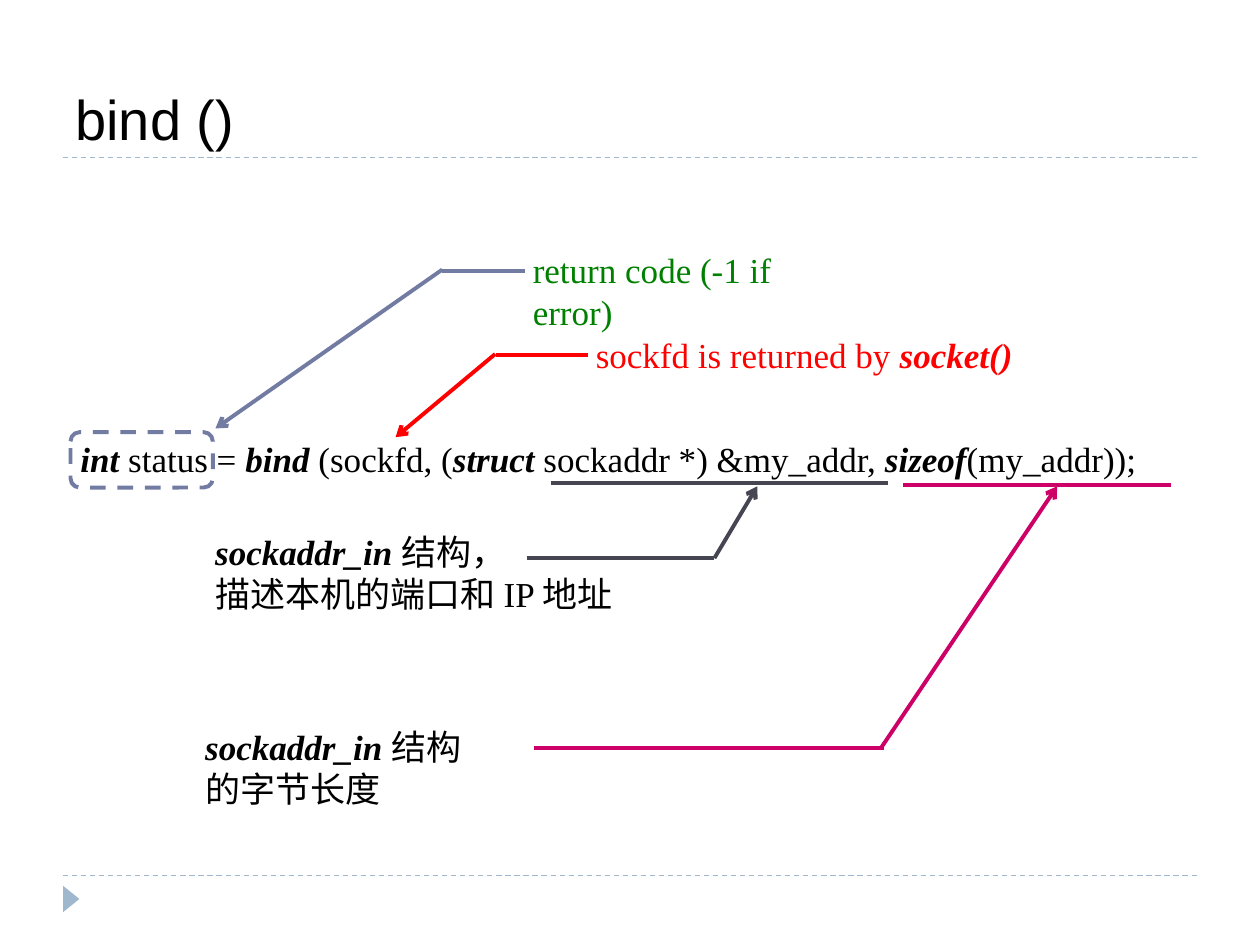
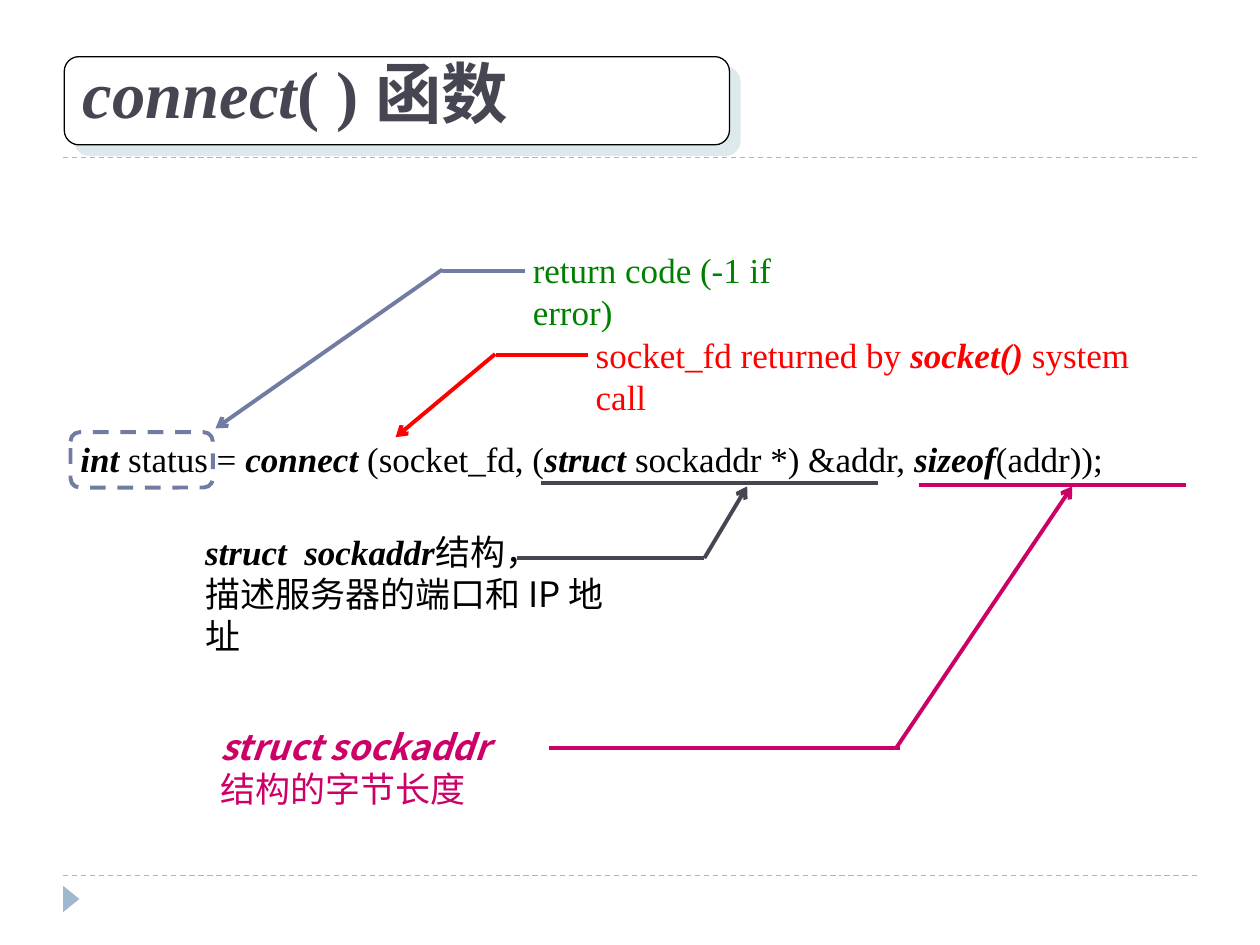
from dataclasses import dataclass, replace

from lxml import etree
from pptx import Presentation
from pptx.dml.color import RGBColor
from pptx.enum.dml import MSO_LINE_DASH_STYLE as Dash
from pptx.enum.shapes import MSO_CONNECTOR as Conn, MSO_SHAPE as Shape
from pptx.enum.text import MSO_ANCHOR as Anchor, MSO_AUTO_SIZE as AutoSize, PP_ALIGN as Align
from pptx.oxml.ns import qn
from pptx.util import Emu, Inches, Pt

COLORS = {
    "paper": "FFFFFF", "ink": "000000", "rule": "9FB8CD", "slate": "464653",
    "pink": "CC0066", "blue": "727CA3", "green": "008000", "red": "FF0000",
    "shadow": "DDE9EC",
}
SERIF, SANS, CJK = "Times New Roman", "Arial", "Noto Sans CJK SC"
COLUMNS, ROWS = 100, 75
LINE_HEIGHT = 1.2
STROKE = 2.25

prs = Presentation()
prs.slide_width, prs.slide_height = Inches(10), Inches(7.5)


@dataclass(frozen=True)
class Box:
    """Left, top, width and height in grid columns and rows."""
    left: float
    top: float
    width: float
    height: float

    def emu(self) -> tuple:
        return col(self.left), row(self.top), col(self.width), row(self.height)


@dataclass(frozen=True)
class Run:
    text: str
    bold: bool = False
    italic: bool = False
    font: str = SERIF


@dataclass(frozen=True)
class Label:
    box: Box
    paragraphs: list
    color: str = "ink"
    size: float = 20
    wrap: bool = True
    grow: bool = True
    anchor: Anchor = Anchor.TOP


@dataclass(frozen=True)
class Segment:
    x1: float
    y1: float
    x2: float
    y2: float
    arrow: bool = False


@dataclass(frozen=True)
class Callout:
    """A label with its leader lines, moved sideways as one."""
    label: Label
    line_color: str
    segments: list
    shift: float = 0


@dataclass(frozen=True)
class CallSlide:
    signature: list
    signature_width: float
    descriptor: list
    descriptor_width: float
    address: list
    address_shift: float
    length: list
    length_shift: float
    length_color: str


def col(n: float) -> Emu:
    return Emu(round(prs.slide_width * n / COLUMNS))


def row(n: float) -> Emu:
    return Emu(round(prs.slide_height * n / ROWS))


def rgb(name: str) -> RGBColor:
    return RGBColor.from_string(COLORS[name])


def key(text: str, font: str = SERIF) -> Run:
    return Run(text, True, True, font)


def set_line(line, color: str, width: float, dash=None) -> None:
    line.color.rgb = rgb(color)
    for name, value in {"width": Pt(width), "dash_style": dash}.items():
        setattr(line, name, value)


def add_segment(s, seg: Segment, color: str, width: float = STROKE,
                dash=None, shift: float = 0) -> None:
    line = s.shapes.add_connector(Conn.STRAIGHT, col(seg.x1 + shift), row(seg.y1),
                                  col(seg.x2 + shift), row(seg.y2))
    set_line(line.line, color, width, dash)
    if seg.arrow:
        etree.SubElement(line.line._get_or_add_ln(), qn("a:tailEnd"), type="arrow")
    etree.SubElement(line._element.spPr, qn("a:effectLst"))


def add_shape(s, kind, box: Box, fill=None):
    sp = s.shapes.add_shape(kind, *box.emu())
    sp.shadow.inherit = False
    if fill:
        sp.fill.solid()
        sp.fill.fore_color.rgb = rgb(fill)
    else:
        sp.fill.background()
    return sp


def add_label(s, label: Label, shift: float = 0) -> None:
    box = replace(label.box, left=label.box.left + shift)
    tf = s.shapes.add_textbox(*box.emu()).text_frame
    frame = {
        "word_wrap": label.wrap, "vertical_anchor": label.anchor,
        "auto_size": AutoSize.SHAPE_TO_FIT_TEXT if label.grow else AutoSize.NONE,
    }
    for name, value in frame.items():
        setattr(tf, name, value)
    for i, runs in enumerate(label.paragraphs):
        p = tf.add_paragraph() if i else tf.paragraphs[0]
        p.alignment = Align.LEFT
        p.line_spacing = Pt(label.size * LINE_HEIGHT)
        for item in runs:
            r = p.add_run()
            r.text = item.text
            look = {"name": item.font, "size": Pt(label.size),
                    "bold": item.bold, "italic": item.italic}
            for name, value in look.items():
                setattr(r.font, name, value)
            r.font.color.rgb = rgb(label.color)
            latin = r.font._element.find(qn("a:latin"))
            east_asian = etree.Element(qn("a:ea"), typeface=CJK)
            latin.addnext(east_asian)


def add_callout(s, callout: Callout) -> None:
    add_label(s, callout.label, callout.shift)
    for seg in callout.segments:
        add_segment(s, seg, callout.line_color, shift=callout.shift)


def add_base():
    """New slide with the two dashed rules and the corner marker."""
    s = prs.slides.add_slide(prs.slide_layouts[6])
    s.background.fill.solid()
    s.background.fill.fore_color.rgb = rgb("paper")
    for y in (69.5, 12.5):
        add_segment(s, Segment(5, y, 95, y), "rule", 0.75, Dash.DASH)
    marker = add_shape(s, Shape.ISOSCELES_TRIANGLE, Box(4.6, 70.7, 2.1, 1.3), "rule")
    marker.rotation = 90
    marker.line.fill.background()
    return s


def add_call_diagram(s, call: CallSlide) -> None:
    add_label(s, Label(Box(5.4, 34.2, call.signature_width, 4.4),
                       [call.signature], wrap=False))
    # Frame around the returned value
    frame = add_shape(s, Shape.ROUNDED_RECTANGLE, Box(5.6, 34.3, 11.3, 4.4))
    set_line(frame.line, "blue", STROKE, Dash.DASH)
    callouts = [
        # Address structure
        Callout(Label(Box(16.1, 41.6, 33.7, 11), call.address), "slate",
                [Segment(43.7, 38.3, 70.5, 38.3), Segment(41.8, 44.3, 56.7, 44.3),
                 Segment(56.7, 44.3, 60.1, 38.6, True)], call.address_shift),
        # Structure length
        Callout(Label(Box(15.3, 57.1, 24.8, 7.7), call.length, call.length_color), "pink",
                [Segment(71.7, 38.5, 92.9, 38.5), Segment(42.4, 59.4, 70.2, 59.4),
                 Segment(69.9, 59.4, 83.9, 38.6, True)], call.length_shift),
        # Return code
        Callout(Label(Box(41.3, 19.2, 27.9, 4.4), [[Run("return code (-1 if error)")]],
                      "green", wrap=False), "blue",
                [Segment(41.7, 21.5, 35.1, 21.5), Segment(35.1, 21.4, 17.1, 34, True)]),
        # Socket descriptor
        Callout(Label(Box(46.3, 26, call.descriptor_width, 4.4), [call.descriptor],
                      "red", wrap=False), "red",
                [Segment(39.4, 28.2, 46.7, 28.2), Segment(39.3, 28.1, 31.4, 34.7, True)]),
    ]
    for callout in callouts:
        add_callout(s, callout)


def add_title_card(s, box: Box) -> None:
    card = add_shape(s, Shape.ROUNDED_RECTANGLE, box, "paper")
    set_line(card.line, "ink", 0.75)
    effects = card._element.spPr.find(qn("a:effectLst"))
    shadow = etree.SubElement(effects, qn("a:outerShdw"), dist=str(Pt(8.5)),
                              dir=str(45 * 60000), algn="ctr", rotWithShape="0")
    etree.SubElement(shadow, qn("a:srgbClr"), val=COLORS["shadow"])


def signature(name: str, descriptor: str, address: str) -> list:
    return [key("int"), Run(" status = "), key(name), Run(f" ({descriptor}, ("),
            key("struct"), Run(f" sockaddr *) &{address}, "),
            key("sizeof"), Run(f"({address}));")]


BIND = CallSlide(
    signature("bind", "sockfd", "my_addr"), 85.9,
    [Run("sockfd is returned by "), key("socket()")], 35.1,
    [[key("sockaddr_in "), Run("结构，")], [Run("描述本机的端口和 IP 地址")]], 0,
    [[key("sockaddr_in "), Run("结构的字节长度")]], 0, "ink",
)
CONNECT = CallSlide(
    signature("connect", "socket_fd", "addr"), 83.2,
    [Run("socket_fd returned by "), key("socket()"), Run(" system call")], 49,
    [[key("struct  sockaddr"), Run("结构，")],
     [Run("描述服务器的端口和 IP 地址", font=CJK)]], -0.8,
    [[key("struct sockaddr ", CJK), Run("结构的字节长度", font=CJK)]], 1.2, "pink",
)


def main() -> None:
    # bind
    s = add_base()
    add_call_diagram(s, BIND)
    add_label(s, Label(Box(5, 1.7, 90, 10.8), [[Run("bind ()", font=SANS)]],
                       size=32, grow=False, anchor=Anchor.BOTTOM))
    # connect
    s = add_base()
    add_call_diagram(s, CONNECT)
    add_title_card(s, Box(5.1, 4.5, 52.8, 7))
    add_label(s, Label(Box(5.6, 3.6, 53.1, 7.4),
                       [[key("connect"), Run("( ) 函数", bold=True)]], "slate", 38))
    prs.save("out.pptx")


if __name__ == "__main__":
    main()
